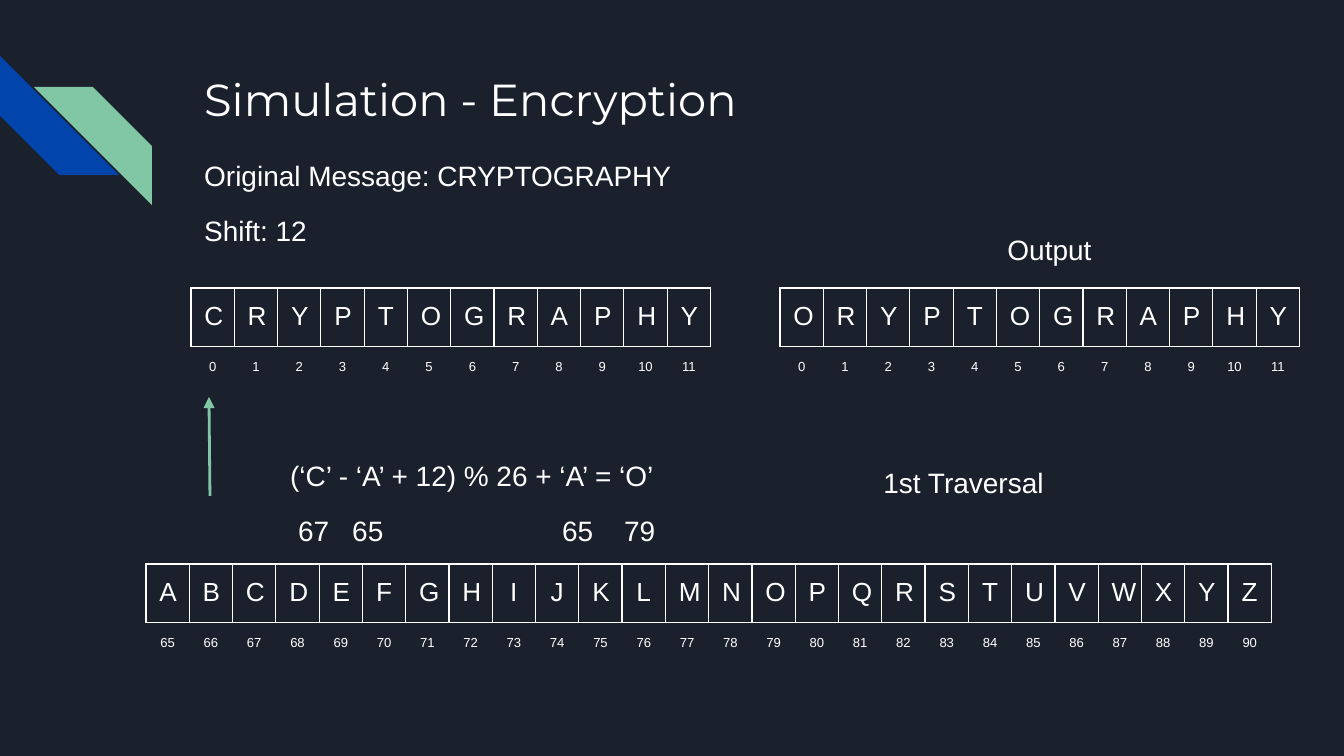
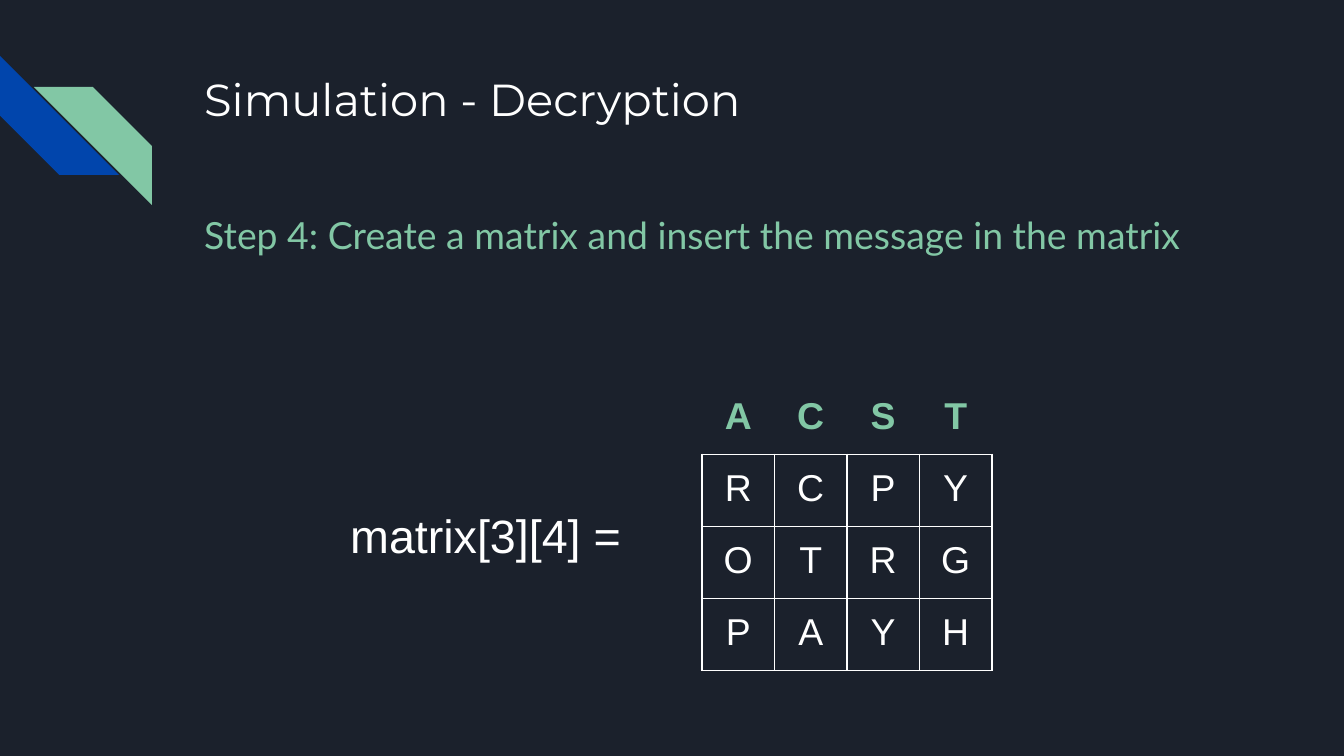
import pptx
import pptx.util
import pptx.dml.color
import pptx.enum.shapes
import pptx.enum.text
import pptx.oxml
import pptx.oxml.ns

RGB = pptx.dml.color.RGBColor
NAVY = RGB(0x1B, 0x21, 0x2C)
BLUE = RGB(0x01, 0x45, 0xAC)
GREEN = RGB(0x82, 0xC7, 0xA5)
WHITE = RGB(0xFF, 0xFF, 0xFF)

SCALE = 914400 / 134.4
INSET = pptx.util.Inches(0.1)
PLAIN = "{2D5ABB26-0587-4C30-8999-92F81FD0307C}"
CENTER = pptx.enum.text.PP_ALIGN.CENTER
SHAPE = pptx.enum.shapes.MSO_SHAPE
STRAIGHT = pptx.enum.shapes.MSO_CONNECTOR.STRAIGHT


def px(num):
    return pptx.util.Emu(round(num * SCALE))


def node(tag, body="", attrs=""):
    space = pptx.oxml.ns.nsdecls("a")
    return pptx.oxml.parse_xml(f"<a:{tag} {space} {attrs}>{body}</a:{tag}>")


def write(frame, text, size=15, font="Arial", color=WHITE, bold=False,
          align=None, line=None, gap=0, after=0, tabs=()):
    """Fill a text frame, one paragraph for each line of text."""
    frame.word_wrap = True
    for row, words in enumerate(text.split("\n")):
        para = frame.paragraphs[0] if row == 0 else frame.add_paragraph()
        if tabs and "\t" in words:
            stops = "".join(f'<a:tab pos="{px(stop)}" algn="l"/>' for stop in tabs)
            para._p.get_or_add_pPr().append(node("tabLst", stops))
        para.alignment = align
        para.line_spacing = line
        if row:
            para.space_before = pptx.util.Pt(gap)
        para.space_after = pptx.util.Pt(after)
        run = para.add_run()
        run.text = words
        run.font.size = pptx.util.Pt(size)
        run.font.name = font
        run.font.bold = bold
        run.font.color.rgb = color


def pad(item):
    item.margin_left = item.margin_right = INSET
    item.margin_top = item.margin_bottom = INSET


def label(slide, box, text, **form):
    frame = slide.shapes.add_textbox(*map(px, box)).text_frame
    pad(frame)
    write(frame, text, **form)


def stripe(slide, box, color, turn=0, flip=False):
    shape = slide.shapes.add_shape(SHAPE.DIAGONAL_STRIPE, *map(px, box))
    shape.adjustments[0] = 0.5
    shape.rotation = turn
    if flip:
        shape._element.spPr.xfrm.set("flipH", "1")
    shape.shadow.inherit = False
    shape.fill.solid()
    shape.fill.fore_color.rgb = color
    shape.line.fill.background()


def edge(cell, sides):
    """Draw white borders on the named sides of a cell."""
    props = cell._tc.get_or_add_tcPr()
    paint = f'<a:solidFill><a:srgbClr val="{WHITE}"/></a:solidFill>'
    for spot, side in enumerate(sides):
        props.insert(spot, node(f"ln{side}", paint, 'w="9525"'))


def grid(slide, box, rows, forms, lined=()):
    """Table with one text format per row; rows in lined have borders."""
    frame = slide.shapes.add_table(len(rows), len(rows[0]), *map(px, box))
    table = frame.table
    table.first_row = table.horz_banding = False
    table._tbl.tblPr.find(pptx.oxml.ns.qn("a:tableStyleId")).text = PLAIN
    for r, row in enumerate(rows):
        sides = "LRTB" if r in lined else (
            "T" * (r - 1 in lined) + "B" * (r + 1 in lined))
        for c, text in enumerate(row):
            cell = table.cell(r, c)
            pad(cell)
            cell.fill.background()
            edge(cell, sides)
            if text:
                write(cell.text_frame, text, align=CENTER, **forms[r])


def strip(slide, box, word, start=0):
    """Row of boxed letters above their numbers."""
    codes = [str(start + spot) for spot in range(len(word))]
    grid(slide, box, [word, codes], [{"size": 14}, {"size": 7}], {0})


def arrow(slide, start, end):
    line = slide.shapes.add_connector(STRAIGHT, *map(px, start + end))
    line.line.color.rgb = GREEN
    line.line.width = pptx.util.Pt(1.5)
    line.line._get_or_add_ln().append(node("tailEnd", attrs='type="triangle"'))
    line._element.spPr.append(node("effectLst"))


def matrix(slide, box, key, words):
    """Layered tables: letters by column, then the lines, then the key."""
    left, top, width, height = box
    size = len(key)
    forms = [{"size": 20}] * size
    blank = [""] * size
    for col in (0, 1, 3, 2):
        rows = [[word[c] if c == col else "" for c in range(size)]
                for word in words]
        grid(slide, box, [blank] + rows, forms)
    grid(slide, box, [blank] * size, forms, set(range(1, size)))
    grid(slide, (left, top, width, height // size), [key],
         [{"size": 20, "color": GREEN, "bold": True}])


def base(deck, title):
    """Slide with background, corner stripes and title."""
    slide = deck.slides.add_slide(deck.slide_layouts[6])
    slide.background.fill.solid()
    slide.background.fill.fore_color.rgb = NAVY
    stripe(slide, (0, 56, 119, 119), BLUE, turn=270)
    stripe(slide, (34, 87, 118, 118), GREEN, flip=True)
    label(slide, (191, 58, 1035, 134), title, size=24, font="Montserrat")
    return slide


def encrypt(deck):
    slide = base(deck, "Simulation - Encryption")
    label(slide, (191, 148, 1035, 140),
          "Original Message: CRYPTOGRAPHY\nShift: 12", line=0.95, gap=12)

    # Message and output
    for left, word in ((191, "CRYPTOGRAPHY"), (780, "ORYPTOGRAPHY")):
        strip(slide, (left, 288, 520, 112), word)

    # Current letter and its formula
    arrow(slide, (210, 496), (209, 397))
    label(slide, (277, 448, 430, 73),
          "(‘C’ - ‘A’ + 12) % 26 + ‘A’ = ‘O’\n\t67\t65\t65\t79",
          line=0.95, gap=12, tabs=(8, 62, 272, 334))

    # Captions
    for left, top, text in ((930, 214, "Output"), (844, 447, "1st Traversal")):
        label(slide, (left, top, 239, 54), text,
              align=CENTER, line=1.15, after=12)

    # Alphabet with its codes
    strip(slide, (146, 564, 1126, 112), "ABCDEFGHIJKLMNOPQRSTUVWXYZ", start=65)


def decrypt(deck):
    slide = base(deck, "Simulation - Decryption")
    label(slide, (191, 192, 1027, 73),
          "Step 4: Create a matrix and insert the message in the matrix",
          size=20, font="Lato", color=GREEN, line=1.15, after=12)
    label(slide, (337, 485, 366, 83), "matrix[3][4] =",
          size=25, line=1.15, after=12)
    matrix(slide, (702, 382, 290, 289), "ACST", ["RCPY", "OTRG", "PAYH"])


def main():
    deck = pptx.Presentation()
    deck.slide_width, deck.slide_height = px(1344), px(756)
    encrypt(deck)
    decrypt(deck)
    deck.save("out.pptx")


if __name__ == "__main__":
    main()
